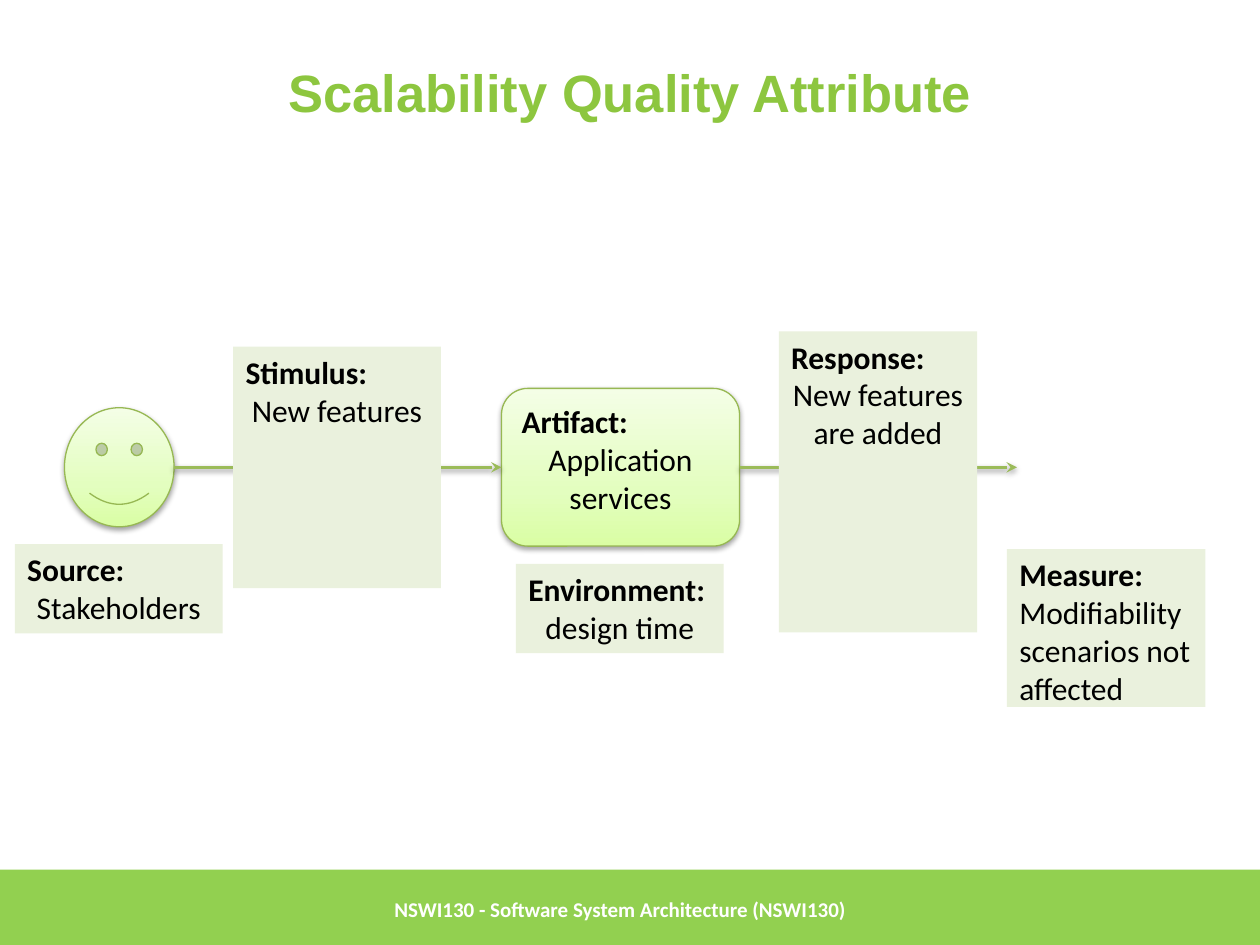
from lxml import etree
from pptx import Presentation
from pptx import util as u
from pptx.dml.color import RGBColor
from pptx.enum import shapes, text
from pptx.oxml import parse_xml
from pptx.oxml.ns import nsdecls, qn

GREEN_BAR = RGBColor(0x92, 0xD0, 0x50)
GREEN_TITLE = RGBColor(0x8D, 0xC6, 0x3F)
GREEN_OUTLINE = RGBColor(0x97, 0xB8, 0x53)
GREEN_ARROW = RGBColor(0x9B, 0xBB, 0x59)
GREEN_PALE = RGBColor(0xEA, 0xF1, 0xDD)
GLOSS = [
    (0, RGBColor(0xDA, 0xFE, 0xA4)),
    (35, RGBColor(0xE3, 0xFE, 0xBF)),
    (100, RGBColor(0xF4, 0xFE, 0xE6)),
]
WHITE = RGBColor(0xFF, 0xFF, 0xFF)
BLACK = RGBColor(0, 0, 0)

LEFT, CENTER = text.PP_ALIGN.LEFT, text.PP_ALIGN.CENTER
TOP, MIDDLE = text.MSO_ANCHOR.TOP, text.MSO_ANCHOR.MIDDLE
LABEL = {"name": "Calibri", "size": u.Pt(18), "bold": True}
DETAIL = {**LABEL, "bold": False}


def place(box, left, top, width, height):
    """Return lengths for a part given in cm relative to its box."""
    return [u.Cm(n) for n in (box[0] + left, box[1] + top, width, height)]


def write(shape, lines, color, anchor=TOP):
    """Fill a shape with lines of (words, alignment, font values)."""
    frame = shape.text_frame
    frame.word_wrap = True
    frame.vertical_anchor = anchor
    for index, (words, alignment, font) in enumerate(lines):
        para = frame.add_paragraph() if index else frame.paragraphs[0]
        para.alignment = alignment
        span = para.add_run()
        span.text = words
        span.font.color.rgb = color
        for key, value in font.items():
            setattr(span.font, key, value)


def add_panel(page, where, color):
    """Add a plain rectangle without outline or shadow."""
    panel = page.shapes.add_shape(shapes.MSO_SHAPE.RECTANGLE, *where)
    panel.shadow.inherit = False
    panel.fill.solid()
    panel.fill.fore_color.rgb = color
    panel.line.fill.background()
    return panel


def add_shadow(properties):
    """Give shape properties a soft shadow falling downwards."""
    for effects in properties.findall(qn("a:effectLst")):
        properties.remove(effects)
    properties.append(parse_xml(
        f'<a:effectLst {nsdecls("a")}><a:outerShdw blurRad="40000" dist="20000" '
        'dir="5400000" rotWithShape="0"><a:srgbClr val="000000">'
        '<a:alpha val="37000"/></a:srgbClr></a:outerShdw></a:effectLst>'))


def add_glossy(page, kind, where):
    """Add an outlined shape with the green gradient and a shadow."""
    shape = page.shapes.add_shape(kind, *where)
    shape.line.color.rgb = GREEN_OUTLINE
    shape.line.width = u.Pt(0.75)
    shape.fill.background()
    stops = "".join(
        f'<a:gs pos="{pos * 1000}"><a:srgbClr val="{color}"/></a:gs>'
        for pos, color in GLOSS)
    properties = shape.element.spPr
    properties.replace(properties.find(qn("a:noFill")), parse_xml(
        f'<a:gradFill {nsdecls("a")} rotWithShape="1"><a:gsLst>{stops}</a:gsLst>'
        '<a:lin ang="16200000" scaled="0"/></a:gradFill>'))
    add_shadow(properties)
    return shape


def add_arrow(page, box, start, end, height):
    """Add a level arrow between two distances from the box edge."""
    left, top, _, _ = place(box, start, height, 0, 0)
    right = u.Cm(box[0] + end)
    arrow = page.shapes.add_connector(
        shapes.MSO_CONNECTOR.STRAIGHT, left, top, right, top)
    arrow.line.color.rgb = GREEN_ARROW
    arrow.line.width = u.Pt(2)
    etree.SubElement(arrow.line._get_or_add_ln(), qn("a:tailEnd"), type="stealth")
    add_shadow(arrow._element.spPr)


def add_footer(page, box):
    """Draw the footer bar and the course name."""
    add_panel(page, place(box, 0, 0, box[2], box[3]), GREEN_BAR)
    course = page.shapes.add_textbox(*place(box, 7.7, 0, 15.29, box[3]))
    font = {**LABEL, "size": u.Pt(12)}
    write(course, [("NSWI130 - Software System Architecture (NSWI130)", LEFT, font)],
          WHITE, MIDDLE)


def add_title(page, box):
    """Draw the slide title."""
    title = page.shapes.add_textbox(*place(box, 0, 0, box[2], box[3]))
    font = {"name": "Arial", "size": u.Pt(30), "bold": True}
    write(title, [("Scalability Quality Attribute", CENTER, font)], GREEN_TITLE, MIDDLE)


def add_scenario(page, box):
    """Draw the quality scenario from its source to its measure."""
    axis = 2.74
    add_glossy(page, shapes.MSO_SHAPE.SMILEY_FACE, place(box, 1, axis - 1.2, 2.21, 2.4))
    artifact = add_glossy(page, shapes.MSO_SHAPE.ROUNDED_RECTANGLE,
                          place(box, 9.81, axis - 1.59, 4.8, 3.18))
    write(artifact, [("Artifact:", LEFT, LABEL),
                     ("Application services", CENTER, DETAIL)], BLACK)
    for start, end in ((3.21, 9.81), (14.61, 20.2)):
        add_arrow(page, box, start, end, axis)
    notes = [
        ("Source:", "Stakeholders", CENTER, (0, 4.29, 4.19, 1.8)),
        ("Stimulus:", "New features", CENTER, (4.4, 0.31, 4.19, 4.87)),
        ("Environment:", "design time", CENTER, (10.1, 4.69, 4.19, 1.8)),
        ("Measure:", "Modifiability scenarios not affected", LEFT,
         (20, 4.39, 4, 3.18)),
        ("Response:", "New features are added", CENTER, (15.4, 0, 4, 6.07)),
    ]
    for label, detail, alignment, where in notes:
        note = add_panel(page, place(box, *where), GREEN_PALE)
        write(note, [(label, LEFT, LABEL), (detail, alignment, DETAIL)], BLACK)


def main():
    """Build and save the deck."""
    deck = Presentation()
    deck.slide_width, deck.slide_height = u.Cm(25.4), u.Cm(19.05)
    page = deck.slides.add_slide(deck.slide_layouts[6])
    add_footer(page, (0, 17.53, 25.4, 1.6))
    add_title(page, (1.27, 0.76, 22.86, 2.16))
    add_scenario(page, (0.3, 6.68))
    deck.save("out.pptx")


if __name__ == "__main__":
    main()
